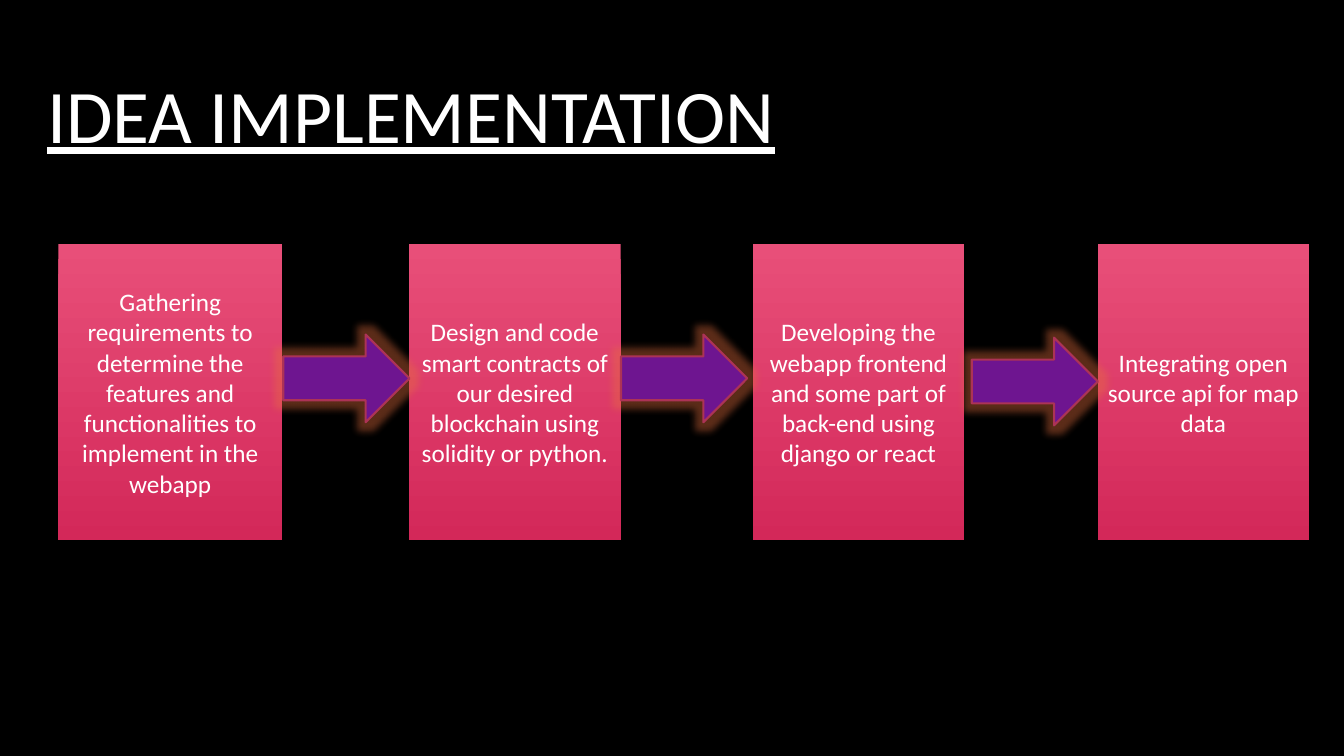
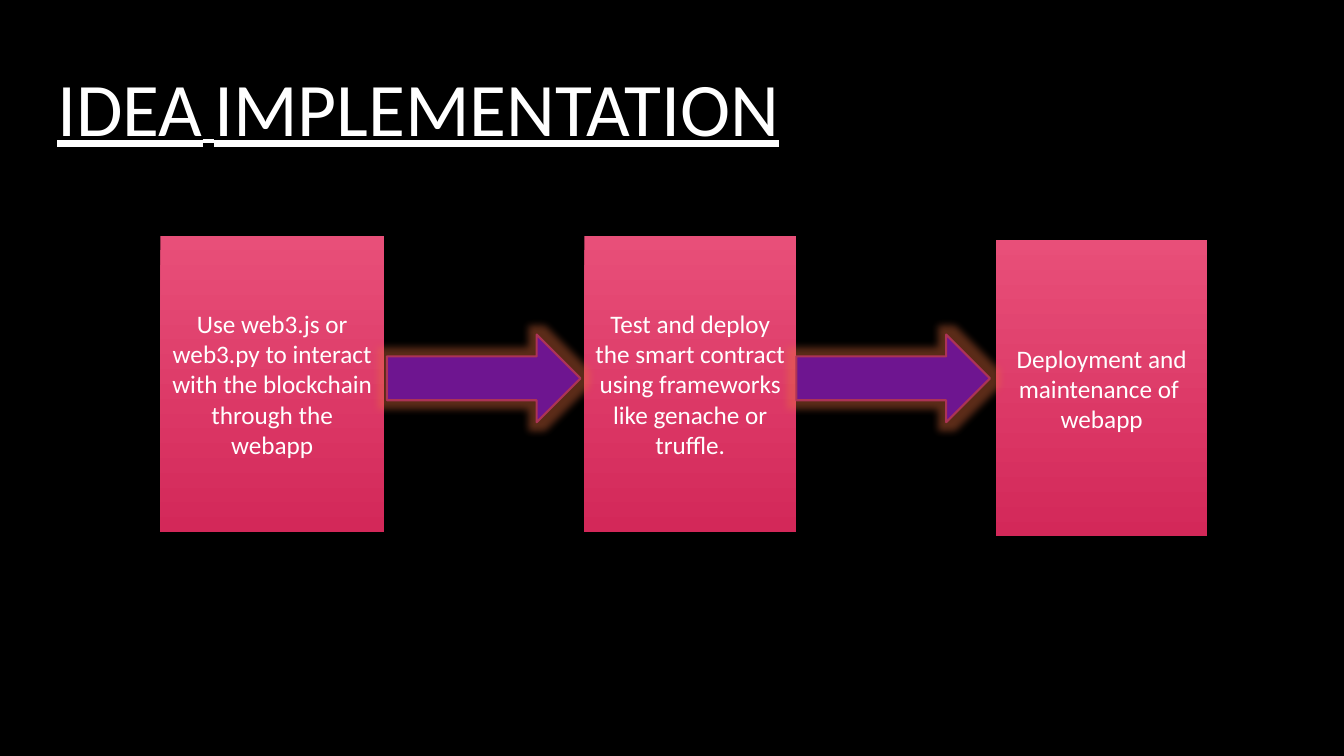
"""Build two process slides on how the idea is implemented."""
from dataclasses import dataclass

from lxml import etree
from pptx import Presentation
from pptx.dml.color import RGBColor
from pptx.enum import shapes, text
from pptx.oxml import ns
from pptx.util import Cm, Pt


@dataclass(frozen=True)
class Theme:
    font: str = "Calibri"
    background: RGBColor = RGBColor(0x00, 0x00, 0x00)
    lettering: RGBColor = RGBColor(0xFF, 0xFF, 0xFF)
    step_top: RGBColor = RGBColor(0xE8, 0x4F, 0x79)
    step_bottom: RGBColor = RGBColor(0xD3, 0x28, 0x59)
    arrow: RGBColor = RGBColor(0x6E, 0x15, 0x90)
    arrow_edge: RGBColor = RGBColor(0xAC, 0x33, 0x56)
    glow: RGBColor = RGBColor(0xE8, 0x70, 0x3F)
    title_size: Pt = Pt(54)
    gap_size: Pt = Pt(36)
    step_size: Pt = Pt(18)


THEME = Theme()
FIRST_WIDTH, STEP_WIDTH, STEP_HEIGHT, ARROW_HEIGHT = 5.64, 5.33, 7.47, 2.21

SLIDES = [
    {
        "title_at": (0.94, 0.97),
        "title": [("IDEA IMPLEMENTATION", THEME.title_size)],
        "steps": [
            (1.47, 6.15, "Gathering requirements to determine the features and "
                         "functionalities to implement in the webapp"),
            (10.31, 6.15, "Design and code smart contracts of our desired "
                          "blockchain using solidity or python."),
            (18.97, 6.15, "Developing the webapp frontend and some part of "
                          "back-end using django or react"),
            (27.66, 6.15, "Integrating open source api for map data"),
        ],
        "arrow_width": 3.18,
        "arrows": [(7.14, 8.43), (15.65, 8.43), (24.49, 8.51)],
    },
    {
        "title_at": (1.19, 0.79),
        "title": [("IDEA", THEME.title_size), (" ", THEME.gap_size),
                  ("IMPLEMENTATION", THEME.title_size)],
        "steps": [
            (4.04, 5.94, "Use web3.js or web3.py to interact with the "
                         "blockchain through the webapp"),
            (14.73, 5.94, "Test and deploy the smart contract using frameworks "
                          "like genache or truffle."),
            (25.1, 6.05, "Deployment and maintenance of  webapp"),
        ],
        "arrow_width": 4.88,
        "arrows": [(9.75, 8.43), (20.07, 8.43)],
    },
]


def add_effect(shape, kind, color, opacity, **settings):
    """Give the shape one effect, such as a glow or an outer shadow."""
    shape.shadow.inherit = False
    effects = shape.element.spPr.find(ns.qn("a:effectLst"))
    effect = etree.SubElement(effects, ns.qn(f"a:{kind}"),
                              {key: str(value) for key, value in settings.items()})
    tint = etree.SubElement(effect, ns.qn("a:srgbClr"), val=str(color))
    etree.SubElement(tint, ns.qn("a:alpha"), val=str(opacity * 1000))


def style_paragraph(paragraph, size, alignment):
    """Apply the shared lettering to a paragraph."""
    paragraph.alignment = alignment
    paragraph.font.name = THEME.font
    paragraph.font.size = size
    paragraph.font.color.rgb = THEME.lettering


prs = Presentation()
prs.slide_width, prs.slide_height = Cm(33.87), Cm(19.05)
backdrop = prs.slide_master.background.fill
backdrop.solid()
backdrop.fore_color.rgb = THEME.background

for content in SLIDES:
    slide = prs.slides.add_slide(prs.slide_layouts[5])

    heading = slide.shapes.title
    heading.left, heading.top = (Cm(value) for value in content["title_at"])
    heading.width, heading.height = Cm(28.14), Cm(4.04)
    heading.text_frame.auto_size = text.MSO_AUTO_SIZE.NONE
    heading.text_frame.vertical_anchor = text.MSO_ANCHOR.MIDDLE
    heading_line = heading.text_frame.paragraphs[0]
    style_paragraph(heading_line, THEME.title_size, text.PP_ALIGN.LEFT)
    heading_line.line_spacing = 0.9
    heading_line.font.underline = True
    for words, size in content["title"]:
        run = heading_line.add_run()
        run.text = words
        run.font.size = size

    for index, (left, top, words) in enumerate(content["steps"]):
        width = STEP_WIDTH if index else FIRST_WIDTH
        step = slide.shapes.add_shape(shapes.MSO_SHAPE.RECTANGLE, Cm(left), Cm(top),
                                      Cm(width), Cm(STEP_HEIGHT))
        step.fill.gradient()
        step.fill.gradient_angle = 270
        for stop, color in zip(step.fill.gradient_stops,
                               (THEME.step_top, THEME.step_bottom)):
            stop.color.rgb = color
        step.line.fill.background()
        add_effect(step, "outerShdw", THEME.background, 65,
                   blurRad=Pt(5), dist=Pt(3), dir=5400000)
        step.text_frame.word_wrap = True
        step.text_frame.vertical_anchor = text.MSO_ANCHOR.MIDDLE
        step.text_frame.text = words
        style_paragraph(step.text_frame.paragraphs[0], THEME.step_size,
                        text.PP_ALIGN.CENTER)

    for left, top in content["arrows"]:
        arrow = slide.shapes.add_shape(shapes.MSO_SHAPE.RIGHT_ARROW, Cm(left), Cm(top),
                                       Cm(content["arrow_width"]), Cm(ARROW_HEIGHT))
        arrow.fill.solid()
        arrow.fill.fore_color.rgb = THEME.arrow
        arrow.line.color.rgb = THEME.arrow_edge
        arrow.line.width = Pt(1.5)
        add_effect(arrow, "glow", THEME.glow, 40, rad=Pt(11))

prs.save("out.pptx")
